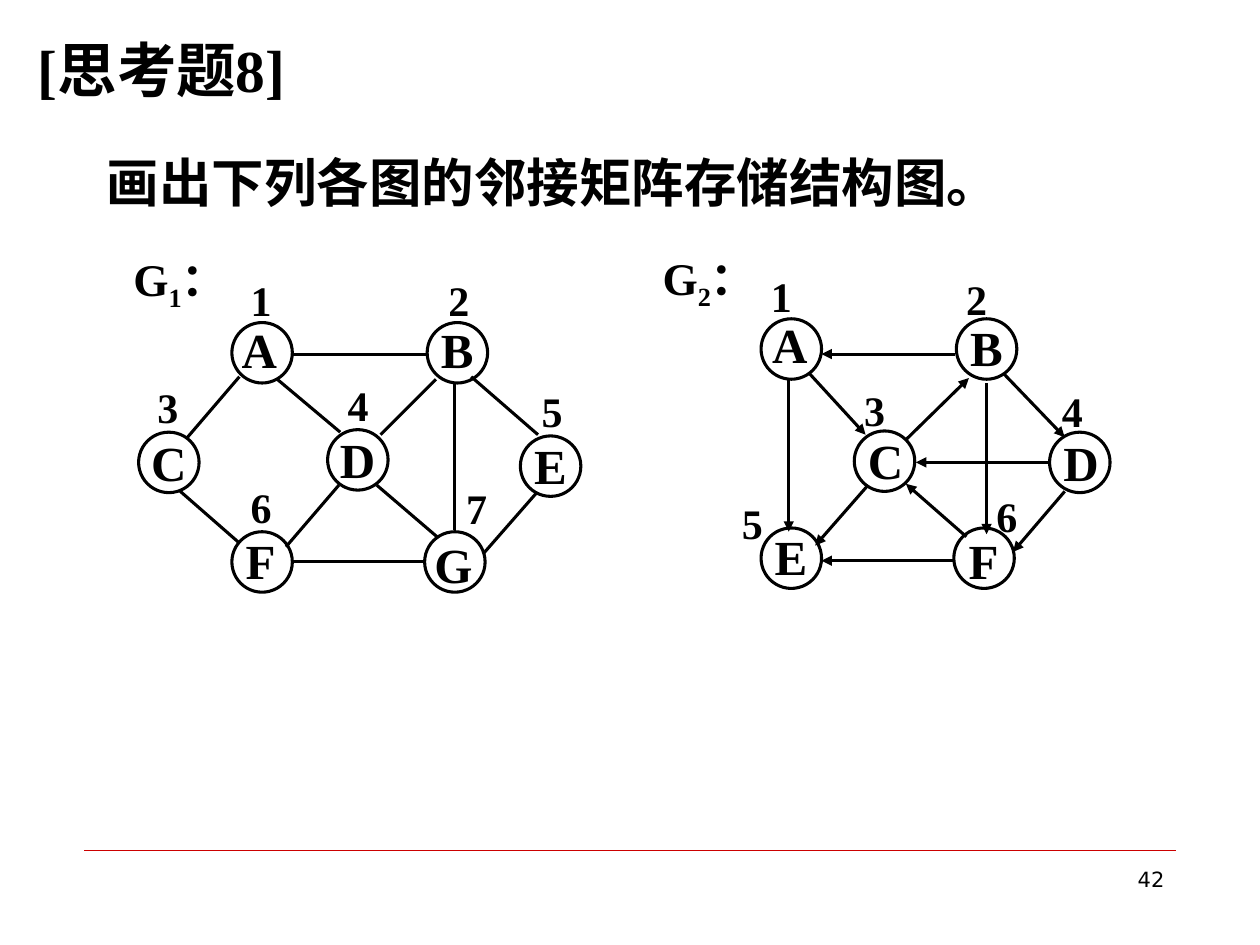
from dataclasses import dataclass
from typing import Any

from pptx import Presentation
from pptx.dml.color import RGBColor
from pptx.enum.lang import MSO_LANGUAGE_ID
from pptx.enum.shapes import MSO_CONNECTOR, MSO_SHAPE
from pptx.enum.text import MSO_ANCHOR, PP_ALIGN
from pptx.oxml.ns import qn
from pptx.util import Inches, Pt
from lxml import etree

BLACK = RGBColor(0x00, 0x00, 0x00)
WHITE = RGBColor(0xFF, 0xFF, 0xFF)
RED = RGBColor(0xCC, 0x00, 0x00)
STRAIGHT, OVAL = MSO_CONNECTOR.STRAIGHT, MSO_SHAPE.OVAL
TOP, LEFT = MSO_ANCHOR.TOP, PP_ALIGN.LEFT
JUSTIFY, RIGHT = PP_ALIGN.JUSTIFY, PP_ALIGN.RIGHT
CHINESE = MSO_LANGUAGE_ID.SIMPLIFIED_CHINESE

COLUMNS, ROWS = 100, 75
CIRCLE = 4.8
LABEL_HEIGHT = 6.3

# Vertex: letter, circle (column, row), letter box (column, row, width),
# number, number box (column, row, width)
UNDIRECTED = {
    "name": ("1", 9.6, 19.5),
    "arrows": False,
    "vertices": [
        ("A", (18.4, 25.6), (18.2, 24.9, 5.7), "1", (18.9, 21.3, 4.8)),
        ("B", (33.9, 25.6), (34, 24.9, 5.2), "2", (34.6, 21.3, 3.9)),
        ("C", (11, 34.3), (11, 33.8, 3.9), "3", (11.5, 29.8, 4.1)),
        ("D", (26, 34.1), (26, 33.6, 5.7), "4", (26.6, 29.6, 4.5)),
        ("E", (41.3, 34.6), (41.4, 34.1, 4.9), "5", (42, 30.1, 5.6)),
        ("F", (18.4, 42.2), (18.5, 41.6, 4.9), "6", (18.9, 37.7, 4.2)),
        ("G", (33.7, 42.2), (33.5, 41.9, 4.6), "7", (36, 37.8, 4.2)),
    ],
    "edges": [
        (23.2, 28.1, 33.8, 28.1), (23.2, 44.6, 33.8, 44.6),
        (22, 30.1, 27, 34.3), (29.9, 38.5, 34.8, 42.7),
        (30.2, 34.5, 34.6, 30.1), (22.7, 43.4, 26.9, 38.5),
        (14.8, 34.8, 19, 29.9), (38.4, 43.9, 42.6, 39.1),
        (14.2, 38.9, 19, 43.1), (37.4, 29.9, 42.7, 34.5),
        (36.1, 30.4, 36.1, 42.1),
    ],
}
DIRECTED = {
    "name": ("2", 51.6, 19.4),
    "arrows": True,
    "vertices": [
        ("A", (60.4, 25.3), (60.3, 24.5, 5), "1", (60.2, 21, 4.8)),
        ("B", (75.9, 25.3), (76, 24.7, 4.5), "2", (75.7, 21.2, 4.3)),
        ("C", (67.8, 34.2), (67.9, 33.7, 4.7), "3", (67.6, 30, 3.6)),
        ("D", (83.3, 34.3), (83.4, 33.8, 4.9), "4", (83.3, 30.1, 4.5)),
        ("E", (60.4, 41.9), (60.5, 41.3, 5), "5", (57.9, 39, 4.3)),
        ("F", (75.7, 41.9), (75.9, 41.6, 4.7), "6", (78.1, 38.4, 4.2)),
    ],
    "edges": [
        (79.7, 29.7, 84.5, 34.7), (71.9, 34.9, 76.9, 30),
        (75.8, 28.1, 65.2, 28.1), (75.8, 44.5, 65.2, 44.5),
        (83.2, 36.7, 72.7, 36.7), (64.2, 29.6, 68.7, 34.5),
        (76.7, 42.6, 71.9, 38.4), (68.9, 38.5, 64.7, 43.3),
        (84.5, 39, 80.4, 43.8), (62.6, 30.2, 62.6, 42.2),
        (78.3, 30.4, 78.3, 42.4),
    ],
}


@dataclass
class SlideBuilder:
    deck: Any
    slide: Any
    face: str = "Times New Roman"
    stroke: float = 1.75

    def grid(self, *lengths):
        """Turn alternating column and row lengths into slide units."""
        units = (self.deck.slide_width / COLUMNS, self.deck.slide_height / ROWS)
        return [round(length * units[i % 2]) for i, length in enumerate(lengths)]

    def fill_frame(self, frame, pieces, size, align=JUSTIFY, spacing=1.0, **font):
        """Fill a frame with (text, baseline shift in percent) pieces."""
        frame.word_wrap = True
        para = frame.paragraphs[0]
        layout = {"alignment": align, "line_spacing": spacing}
        for key, value in layout.items():
            setattr(para, key, value)
        look = {"name": self.face, "size": Pt(size), "bold": True,
                "language_id": CHINESE, **font}
        for text, shift in pieces:
            span = para.add_run()
            span.text = text
            for key, value in look.items():
                setattr(span.font, key, value)
            span.font.color.rgb = BLACK
            if shift:
                span._r.get_or_add_rPr().set("baseline", str(shift * 1000))
        return para

    def title(self, text, area, size, hanging):
        box = self.slide.shapes.title
        box.left, box.top, box.width, box.height = self.grid(*area)
        box.fill.solid()
        box.fill.fore_color.rgb = WHITE
        box.text_frame.vertical_anchor = TOP
        para = self.fill_frame(box.text_frame, [(text, 0)], size, LEFT)
        properties = para._p.get_or_add_pPr()
        properties.set("marL", str(Inches(hanging)))
        properties.set("indent", str(-Inches(hanging)))

    def text(self, pieces, area, size, **options):
        box = self.slide.shapes.add_textbox(*self.grid(*area))
        self.fill_frame(box.text_frame, pieces, size, **options)

    def line(self, ends, color=BLACK, width=None, arrow=False):
        connector = self.slide.shapes.add_connector(STRAIGHT, *self.grid(*ends))
        connector.line.color.rgb = color
        connector.line.width = Pt(width or self.stroke)
        if arrow:
            outline = connector.line._get_or_add_ln()
            etree.SubElement(outline, qn("a:tailEnd"), type="triangle")
        etree.SubElement(connector._element.spPr, qn("a:effectLst"))

    def circle(self, column, row):
        area = self.grid(column, row, CIRCLE, CIRCLE)
        shape = self.slide.shapes.add_shape(OVAL, *area)
        shape.shadow.inherit = False
        shape.fill.background()
        shape.line.color.rgb = BLACK
        shape.line.width = Pt(self.stroke)

    def graph(self, name, arrows, vertices, edges):
        index, left, top = name
        self.text([("G", 0), (index, -25), ("：", 0)],
                  (left, top, 11.8, LABEL_HEIGHT), 25.9, spacing=0.9)
        for letter, place, letter_area, number, number_area in vertices:
            self.circle(*place)
            self.text([(letter, 0)], (*letter_area, LABEL_HEIGHT), 28)
            self.text([(number, 0)], (*number_area, LABEL_HEIGHT), 24)
        for ends in edges:
            self.line(ends, arrow=arrows)


def main():
    deck = Presentation()
    deck.slide_width, deck.slide_height = Inches(10), Inches(7.5)
    title_only = deck.slide_layouts[5]
    page = SlideBuilder(deck, deck.slides.add_slide(title_only))

    page.title("[思考题8]", (2, 2.1, 96.1, 65.4), 34, hanging=0.51)
    page.line((6.7, 67.5, 93.3, 67.5), RED, 0.25)
    page.text([("42", 0)], (71.7, 68.3, 21.7, 5.2), 12,
              align=RIGHT, name="DejaVu Sans", bold=False)
    page.text([("画出下列各图的邻接矩阵存储结构图。", 0)],
              (7.5, 9.9, 85.2, 8.7), 30, spacing=1.3)
    for graph in (DIRECTED, UNDIRECTED):
        page.graph(**graph)

    deck.save("out.pptx")


if __name__ == "__main__":
    main()
